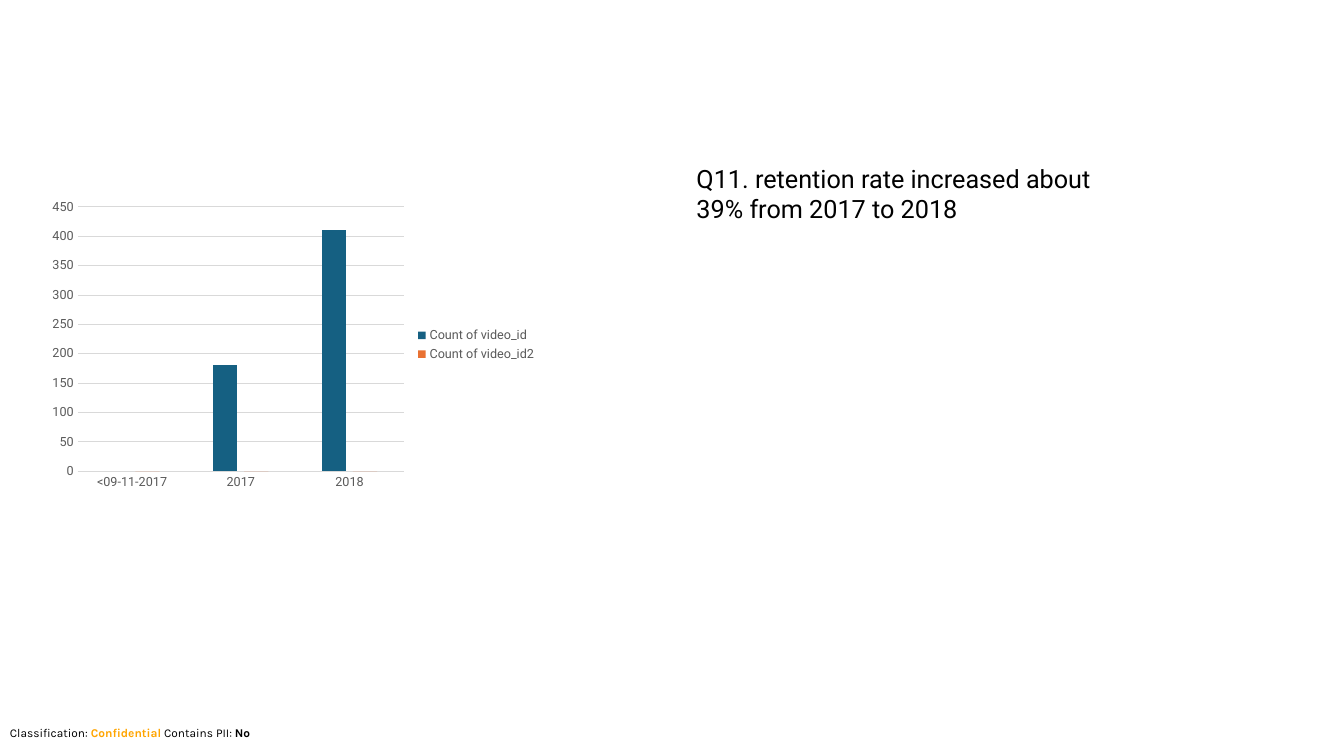
import pptx
import pptx.chart.data
import pptx.dml.color
import pptx.enum.chart
import pptx.enum.text
import pptx.util
from dataclasses import dataclass

Inches = pptx.util.Inches
Pt = pptx.util.Pt


@dataclass(frozen=True)
class Theme:
    body_font: str = "Roboto"
    footer_font: str = "Karla"
    black: str = "000000"
    label: str = "595959"
    grid: str = "D9D9D9"
    alert: str = "FFA500"
    series: tuple = ("156082", "E97132")
    body_size: float = 18
    footer_size: float = 8.5
    chart_size: float = 10
    label_size: float = 9


def rgb(color):
    return pptx.dml.color.RGBColor.from_string(color)


class SlideBuilder:
    def __init__(self, slide, theme):
        self.slide = slide
        self.theme = theme

    def style_font(self, font, name, size, color, bold=False):
        font.name = name
        font.size = Pt(size)
        font.bold = bold
        font.color.rgb = rgb(color)

    def add_text(self, box, runs, font, size):
        """Each run is (text, color, bold)."""
        frame = self.slide.shapes.add_textbox(*map(Inches, box)).text_frame
        frame.word_wrap = True
        frame.auto_size = pptx.enum.text.MSO_AUTO_SIZE.SHAPE_TO_FIT_TEXT
        for text, color, bold in runs:
            run = frame.paragraphs[0].add_run()
            run.text = text
            self.style_font(run.font, font, size, color, bold)

    def style_line(self, line):
        line.color.rgb = rgb(self.theme.grid)
        line.width = Pt(0.75)

    def add_column_chart(self, box, categories, counts):
        theme = self.theme
        chart_data = pptx.chart.data.CategoryChartData()
        chart_data.categories = categories
        for name, values in counts.items():
            chart_data.add_series(name, values)
        chart = self.slide.shapes.add_chart(
            pptx.enum.chart.XL_CHART_TYPE.COLUMN_CLUSTERED,
            *map(Inches, box), chart_data).chart
        chart.has_title = False
        self.style_font(chart.font, theme.body_font, theme.chart_size, theme.black)

        # Columns
        plot = chart.plots[0]
        plot.gap_width = 219
        plot.overlap = -27
        plot.vary_by_categories = False
        for series, color in zip(plot.series, theme.series):
            series.format.fill.solid()
            series.format.fill.fore_color.rgb = rgb(color)
            series.invert_if_negative = False

        # Legend
        chart.has_legend = True
        chart.legend.position = pptx.enum.chart.XL_LEGEND_POSITION.RIGHT
        chart.legend.include_in_layout = False

        # Axes
        for axis in (chart.category_axis, chart.value_axis):
            axis.major_tick_mark = pptx.enum.chart.XL_TICK_MARK.NONE
            axis.minor_tick_mark = pptx.enum.chart.XL_TICK_MARK.NONE
        for part in (chart.category_axis.tick_labels, chart.value_axis.tick_labels,
                     chart.legend):
            self.style_font(part.font, theme.body_font, theme.label_size, theme.label)
        self.style_line(chart.category_axis.format.line)
        chart.value_axis.format.line.fill.background()
        chart.value_axis.has_major_gridlines = True
        self.style_line(chart.value_axis.major_gridlines.format.line)
        chart.value_axis.minimum_scale = 0
        chart.value_axis.maximum_scale = 450
        chart.value_axis.major_unit = 50


def main():
    presentation = pptx.Presentation()
    presentation.slide_width = Inches(13.33)
    presentation.slide_height = Inches(7.5)
    theme = Theme()
    slide = presentation.slides.add_slide(presentation.slide_layouts[6])
    builder = SlideBuilder(slide, theme)

    # Classification footer
    builder.add_text((0, 7.15, 13.33, 0.24), [
        ("Classification: ", theme.black, False),
        ("Confidential", theme.alert, True),
        (" Contains PII: ", theme.black, False),
        ("No", theme.black, True),
    ], theme.footer_font, theme.footer_size)

    # Video counts by period
    builder.add_column_chart((0.42, 1.92, 5, 3), ("<09-11-2017", "2017", "2018"), {
        "Count of video_id": (None, 180, 410),
        "Count of video_id2": (0, 0, 0),
    })

    # Finding
    builder.add_text((6.81, 1.57, 4.6, 1.01), [
        ("Q11. retention rate increased about 39% from 2017 to 2018", theme.black, False),
    ], theme.body_font, theme.body_size)

    presentation.save("out.pptx")


if __name__ == "__main__":
    main()
